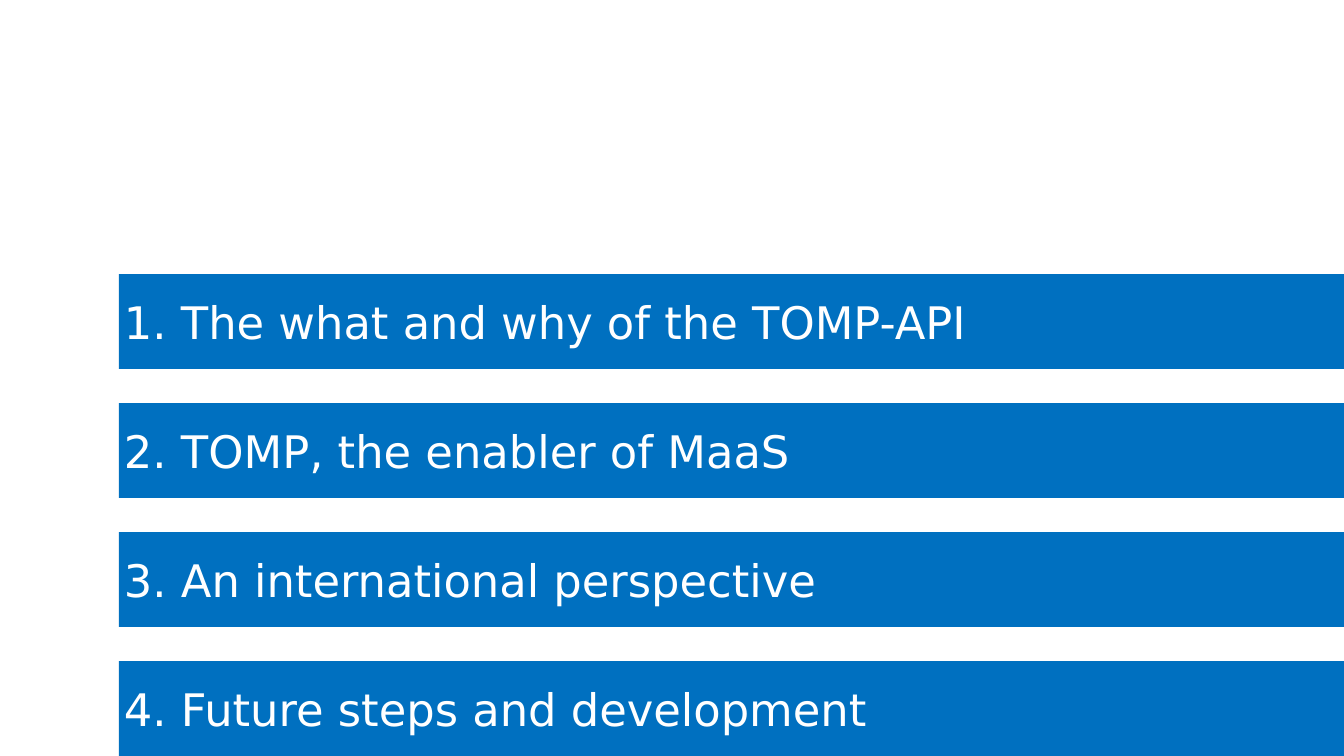
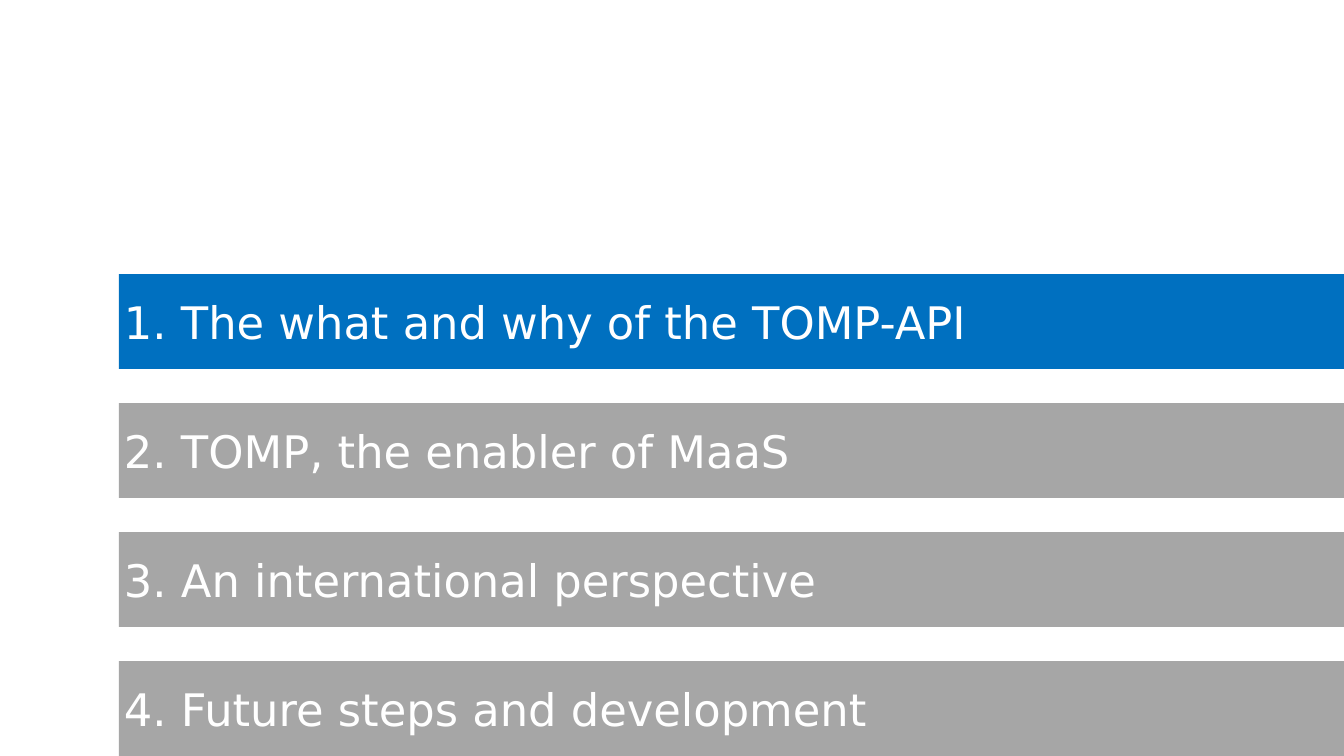
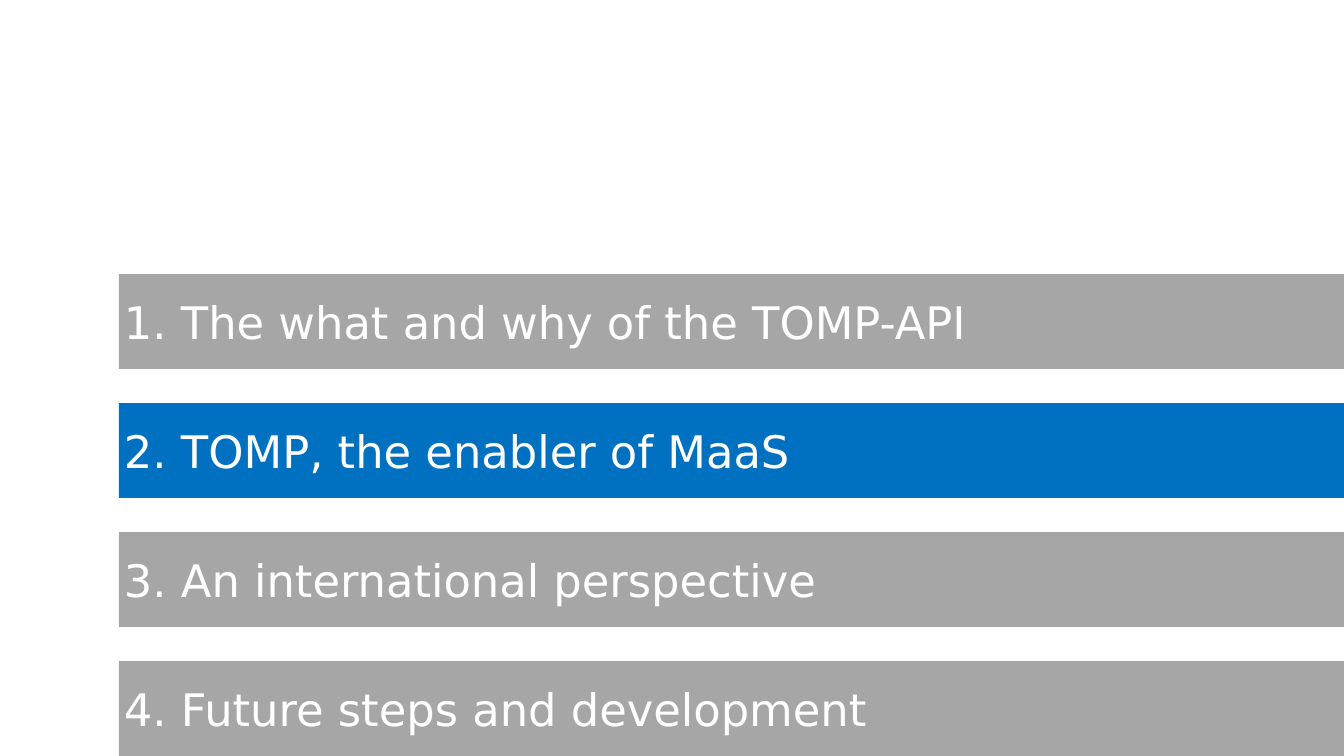
from pptx import Presentation
from pptx.dml.color import RGBColor
from pptx.enum.shapes import MSO_SHAPE as Shape
from pptx.enum.text import MSO_ANCHOR as Anchor, PP_ALIGN as Align
from pptx.util import Inches, Pt

WIDTH, HEIGHT = 13.33, 7.5
BLUE, GRAY, WHITE = "0070C0", "A6A6A6", "FFFFFF"
FONT = "DejaVu Sans"
LEFT, TOP, BAR, STEP, INSET = 1.18, 2.72, 0.94, 1.28, 0.05
TOPICS = [
    "1. The what and why of the TOMP-API",
    "2. TOMP, the enabler of MaaS",
    "3. An international perspective",
    "4. Future steps and development",
]


def color(code):
    return RGBColor.from_string(code)


def add_bar(slide, left, top, text, fill):
    bar = slide.shapes.add_shape(Shape.RECTANGLE, Inches(left), Inches(top),
                                 Inches(WIDTH), Inches(BAR))
    bar.shadow.inherit = False
    bar.fill.solid()
    bar.fill.fore_color.rgb = color(fill)
    bar.line.fill.background()

    frame = bar.text_frame
    frame.word_wrap = True
    frame.vertical_anchor = Anchor.MIDDLE
    frame.margin_left = frame.margin_right = Inches(INSET)
    frame.margin_top = frame.margin_bottom = Inches(INSET)
    para = frame.paragraphs[0]
    para.text = text
    para.alignment = Align.LEFT
    para.font.name = FONT
    para.font.size = Pt(32)
    para.font.color.rgb = color(WHITE)


def add_agenda(deck, active):
    """Add a slide that lists all topics, with the active ones in blue."""
    slide = deck.slides.add_slide(deck.slide_layouts[6])
    for row, topic in enumerate(TOPICS):
        fill = BLUE if row in active else GRAY
        add_bar(slide, LEFT, TOP + row * STEP, topic, fill)


def main():
    deck = Presentation()
    deck.slide_width, deck.slide_height = Inches(WIDTH), Inches(HEIGHT)
    for active in (range(len(TOPICS)), [0], [1]):
        add_agenda(deck, active)
    deck.save("out.pptx")


if __name__ == "__main__":
    main()
